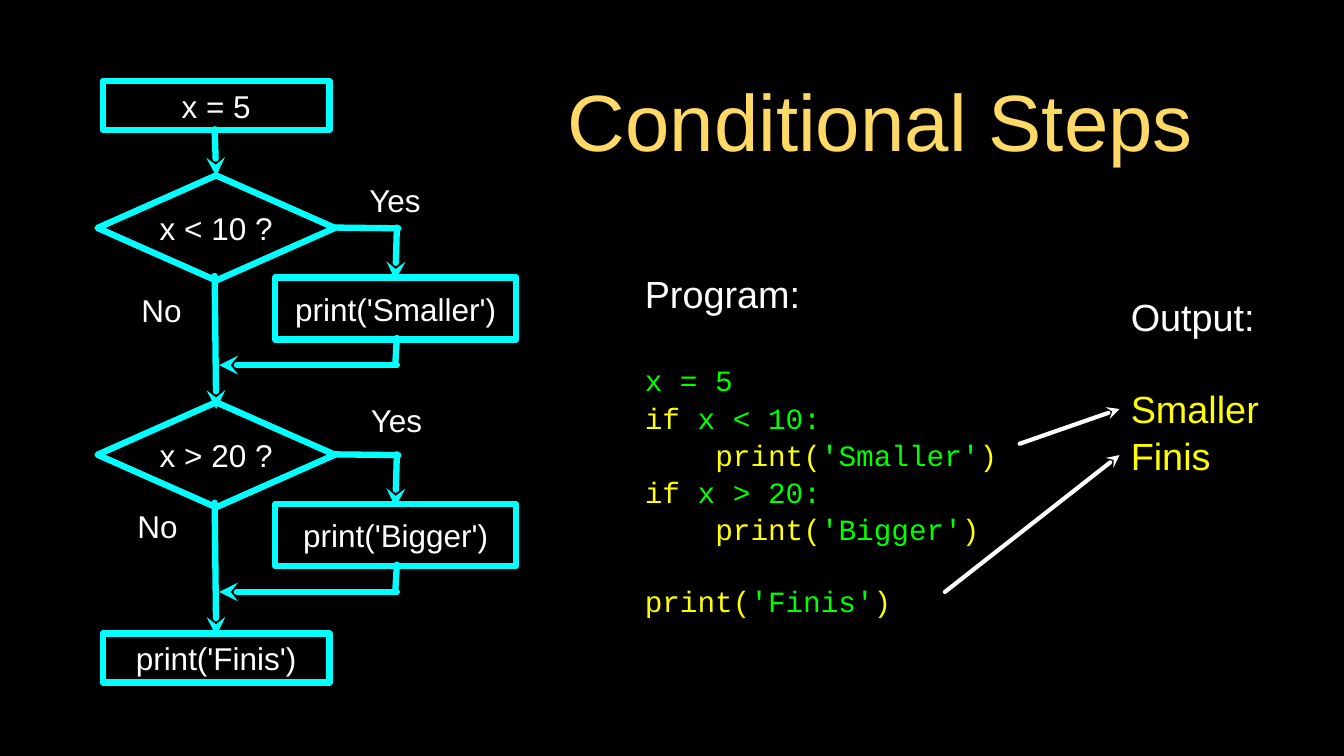
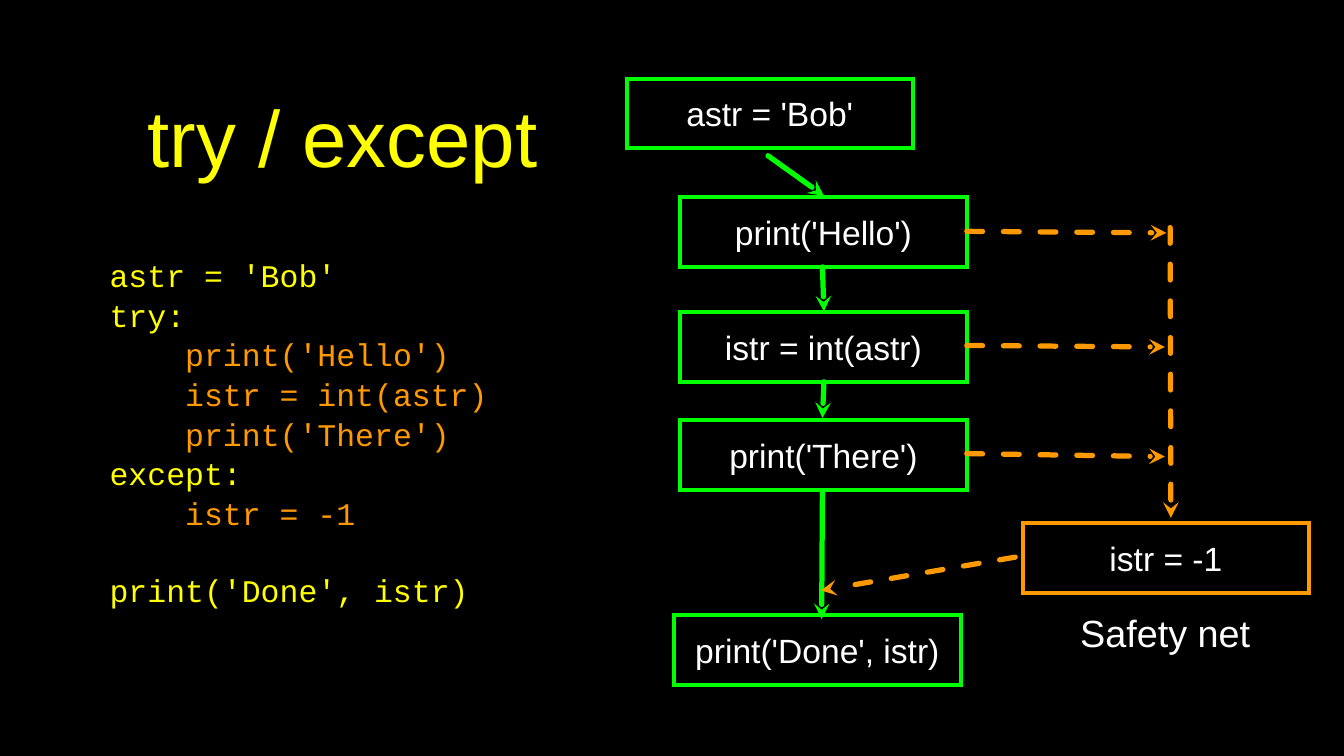
"""Build two flowchart slides about conditional steps and try / except."""
from dataclasses import dataclass
from typing import Any, NamedTuple

from lxml import etree
from pptx import Presentation
from pptx.dml.color import RGBColor
from pptx.enum.dml import MSO_LINE
from pptx.enum.shapes import MSO_CONNECTOR, MSO_SHAPE
from pptx.enum.text import MSO_ANCHOR, MSO_AUTO_SIZE, PP_ALIGN
from pptx.oxml.ns import qn
from pptx.slide import Slide
from pptx.text.text import TextFrame
from pptx.util import Inches, Pt

RECTANGLE, DIAMOND = MSO_SHAPE.RECTANGLE, MSO_SHAPE.DIAMOND
STRAIGHT, DASH = MSO_CONNECTOR.STRAIGHT, MSO_LINE.DASH
MIDDLE, NO_FIT = MSO_ANCHOR.MIDDLE, MSO_AUTO_SIZE.NONE
LEFT, CENTER = PP_ALIGN.LEFT, PP_ALIGN.CENTER
TITLE_ONLY = 5


@dataclass(frozen=True)
class Theme:
    """Colours, fonts and type sizes of the deck."""
    black: str = "000000"
    white: str = "FFFFFF"
    gold: str = "FFD966"
    yellow: str = "FFFF00"
    green: str = "00FF00"
    cyan: str = "00FFFF"
    orange: str = "FF9900"
    sans: str = "Arial"
    mono: str = "Courier New"
    title: int = 76
    heading: int = 36
    step: int = 32
    label: int = 30
    code: int = 28
    sans_spacing: float = 1.04
    mono_spacing: float = 1.056


THEME = Theme()


class Area(NamedTuple):
    """Left, top, width and height in inches."""
    left: float
    top: float
    width: float
    height: float


class Pen(NamedTuple):
    """Look of an outline or a line."""
    color: str
    width: float
    join: str = "round"
    dashed: bool = False


class Span(NamedTuple):
    """Text in one colour."""
    text: str
    color: str


@dataclass(frozen=True)
class Line:
    """One paragraph with its type, indent in characters and gap above in points."""
    spans: tuple[Span, ...]
    size: int
    font: str = THEME.sans
    align: Any = LEFT
    indent: int = 0
    gap: float = 0
    spacing: float = 1.0


class Step(NamedTuple):
    """A labelled flowchart node."""
    text: str
    area: Area
    pen: Pen
    size: int
    kind: Any = RECTANGLE


class Link(NamedTuple):
    """A straight line between two points, with or without an arrowhead."""
    start: tuple[float, float]
    end: tuple[float, float]
    pen: Pen
    arrow: bool = True


FLOW = Pen(THEME.cyan, 6)
POINTER = Pen(THEME.white, 4)
FRAME = Pen(THEME.green, 4, "miter")
SAFE_FRAME = Pen(THEME.orange, 4, "miter")
PATH = Pen(THEME.green, 5)
ESCAPE = Pen(THEME.orange, 5, dashed=True)


def assign(target: Any, values: dict[str, Any]) -> None:
    """Set every attribute in values on target."""
    for name, value in values.items():
        setattr(target, name, value)


def write(frame: TextFrame, lines: list[Line], inset: float = 0) -> None:
    """Fill a text frame with formatted lines."""
    assign(frame, {"word_wrap": True, "auto_size": NO_FIT, "vertical_anchor": MIDDLE})
    assign(frame, {f"margin_{side}": Inches(inset)
                   for side in ("left", "top", "right", "bottom")})
    for index, line in enumerate(lines):
        para = frame.add_paragraph() if index else frame.paragraphs[0]
        assign(para, {"alignment": line.align, "line_spacing": line.spacing,
                      "space_before": Pt(line.gap)})
        if line.indent:
            margin = Pt(line.indent * line.size * 0.6)
            para._p.get_or_add_pPr().set("marL", str(margin))
        for span in line.spans:
            run = para.add_run()
            run.text = span.text
            assign(run.font, {"name": line.font, "size": Pt(line.size)})
            run.font.color.rgb = RGBColor.from_string(span.color)


def centered(text: str, size: int, color: str = THEME.white) -> list[Line]:
    """Return a single centred line."""
    return [Line((Span(text, color),), size, align=CENTER)]


def draw_pen(line: Any, pen: Pen, arrow: bool = False) -> None:
    """Apply a pen and an optional arrowhead to a line."""
    line.color.rgb = RGBColor.from_string(pen.color)
    line.width = Pt(pen.width)
    if pen.dashed:
        line.dash_style = DASH
    outline = line._get_or_add_ln()
    outline.set("cap", "rnd" if pen.join == "round" else "flat")
    etree.SubElement(outline, qn(f"a:{pen.join}"))
    if arrow:
        etree.SubElement(outline, qn("a:tailEnd"), type="stealth")


def add_text(page: Slide, area: Area, lines: list[Line]) -> None:
    """Add a text box."""
    box = page.shapes.add_textbox(*map(Inches, area))
    write(box.text_frame, lines)


def add_step(page: Slide, step: Step) -> None:
    """Add a flowchart node."""
    box = page.shapes.add_shape(step.kind, *map(Inches, step.area))
    box.shadow.inherit = False
    box.fill.background()
    draw_pen(box.line, step.pen)
    write(box.text_frame, centered(step.text, step.size))


def add_link(page: Slide, link: Link) -> None:
    """Add a connector."""
    connector = page.shapes.add_connector(STRAIGHT, *map(Inches, link.start + link.end))
    draw_pen(connector.line, link.pen, link.arrow)
    etree.SubElement(connector._element.spPr, qn("a:effectLst"))


def add_page(deck: Any, title: str, area: Area, color: str) -> Slide:
    """Add a slide with a formatted title."""
    page = deck.slides.add_slide(deck.slide_layouts[TITLE_ONLY])
    holder = page.shapes.title
    assign(holder, dict(zip(("left", "top", "width", "height"), map(Inches, area))))
    write(holder.text_frame, centered(title, THEME.title, color), 0.04)
    return page


def code(size: int, *spans: Span, indent: int = 0, gap: float = 0) -> Line:
    """Return a line of program text."""
    return Line(spans, size, THEME.mono, indent=indent, gap=gap,
                spacing=THEME.mono_spacing)


def heading(text: str, color: str, gap: float = 0) -> Line:
    """Return a left-aligned large line."""
    return Line((Span(text, color),), THEME.heading, gap=gap, spacing=THEME.sans_spacing)


def print_call(text: str, indent: int = 0, gap: float = 0) -> Line:
    """Return a print call with its argument highlighted."""
    return code(THEME.code, Span("print(", THEME.yellow), Span(text, THEME.green),
                Span(")", THEME.yellow), indent=indent, gap=gap)


def condition(test: str) -> Line:
    """Return an if line."""
    return code(THEME.code, Span("if ", THEME.yellow), Span(test, THEME.green))


def add_branch(page: Slide, top: float, question: str, action: str) -> None:
    """Add a decision, its action and the lines joining them."""
    add_step(page, Step(question, Area(1.29, top, 3.14, 1.39), FLOW, THEME.label, DIAMOND))
    add_step(page, Step(action, Area(3.64, top + 1.35, 3.19, 0.82), FLOW, THEME.label))
    for link in (
        Link((2.84, top + 1.33), (2.86, top + 3.09), FLOW),
        Link((4.42, top + 0.69), (5.27, top + 0.7), FLOW, False),
        Link((5.25, top + 0.69), (5.23, top + 1.39), FLOW),
        Link((5.25, top + 2.15), (5.23, top + 2.49), FLOW, False),
        Link((5.25, top + 2.51), (2.9, top + 2.51), FLOW),
    ):
        add_link(page, link)


def build_conditional(deck: Any) -> None:
    """Build the conditional steps slide."""
    page = add_page(deck, "Conditional Steps", Area(6.4, 0.84, 10.49, 1.49), THEME.gold)
    add_text(page, Area(14.96, 3.9, 1.73, 2.39), [
        heading("Output:", THEME.white),
        heading("Smaller", THEME.yellow, 43),
        heading("Finis", THEME.yellow),
    ])
    add_text(page, Area(8.53, 3.14, 4.96, 5.45), [
        heading("Program:", THEME.white),
        code(THEME.code, Span("x = 5", THEME.green), gap=43),
        condition("x < 10:"),
        print_call("'Smaller'", 4),
        condition("x > 20:"),
        print_call("'Bigger'", 4),
        print_call("'Finis'", gap=33.5),
    ])
    for text, top in (("x = 5", 1.07), ("print('Finis')", 8.38)):
        add_step(page, Step(text, Area(1.36, top, 3, 0.65), FLOW, THEME.label))
    add_link(page, Link((2.84, 1.71), (2.86, 2.33), FLOW))
    add_branch(page, 2.32, "x < 10 ?", "print('Smaller')")
    add_branch(page, 5.32, "x > 20 ?", "print('Bigger')")
    add_link(page, Link((13.49, 5.87), (14.81, 5.41), POINTER))
    add_link(page, Link((12.5, 7.83), (14.81, 6.02), POINTER))
    for text, area in (
        ("Yes", Area(4.83, 2.31, 0.79, 0.68)),
        ("No", Area(1.74, 3.71, 0.79, 0.77)),
        ("Yes", Area(4.85, 5.21, 0.79, 0.68)),
        ("No", Area(1.69, 6.67, 0.79, 0.58)),
    ):
        add_text(page, area, centered(text, THEME.label))


def build_try_except(deck: Any) -> None:
    """Build the try / except slide."""
    page = add_page(deck, "try / except", Area(1.26, 0.82, 6.54, 1.96), THEME.yellow)
    program = (
        ("astr = 'Bob'", 0, 0), ("try:", 0, 0), ("print('Hello')", 4, 0),
        ("istr = int(astr)", 4, 0), ("print('There')", 4, 0), ("except:", 0, 0),
        ("istr = -1", 4, 0), ("print('Done', istr)", 0, 36),
    )
    add_text(page, Area(1.45, 3.11, 5.65, 5.2), [
        code(THEME.label, Span(text, THEME.orange if indent else THEME.yellow),
             indent=indent, gap=gap)
        for text, indent, gap in program
    ])
    for text, left, top, pen in (
        ("astr = 'Bob'", 8.29, 1.04, FRAME),
        ("print('Hello')", 9, 2.61, FRAME),
        ("istr = int(astr)", 9, 4.13, FRAME),
        ("print('There')", 9, 5.56, FRAME),
        ("print('Done', istr)", 8.92, 8.14, FRAME),
        ("istr = -1", 13.53, 6.92, SAFE_FRAME),
    ):
        add_step(page, Step(text, Area(left, top, 3.79, 0.92), pen, THEME.step))
    for start, end, pen in (
        ((10.16, 2.06), (10.9, 2.59), PATH),
        ((10.88, 3.53), (10.9, 4.12), PATH),
        ((10.9, 5.05), (10.88, 5.53), PATH),
        ((10.88, 6.5), (10.87, 8.19), PATH),
        ((12.79, 3.06), (15.43, 3.08), ESCAPE),
        ((12.79, 4.57), (15.41, 4.59), ESCAPE),
        ((12.79, 6), (15.41, 6.04), ESCAPE),
        ((15.48, 3.01), (15.49, 6.85), ESCAPE),
        ((13.43, 7.37), (10.86, 7.81), ESCAPE),
    ):
        add_link(page, Link(start, end, pen))
    add_text(page, Area(14.13, 8.03, 2.57, 0.68), centered("Safety net", THEME.heading))


def main() -> None:
    """Build and save the deck."""
    deck = Presentation()
    assign(deck, {"slide_width": Inches(17.78), "slide_height": Inches(10)})
    backdrop = deck.slide_master.background.fill
    backdrop.solid()
    backdrop.fore_color.rgb = RGBColor.from_string(THEME.black)
    build_conditional(deck)
    build_try_except(deck)
    deck.save("out.pptx")


main()
